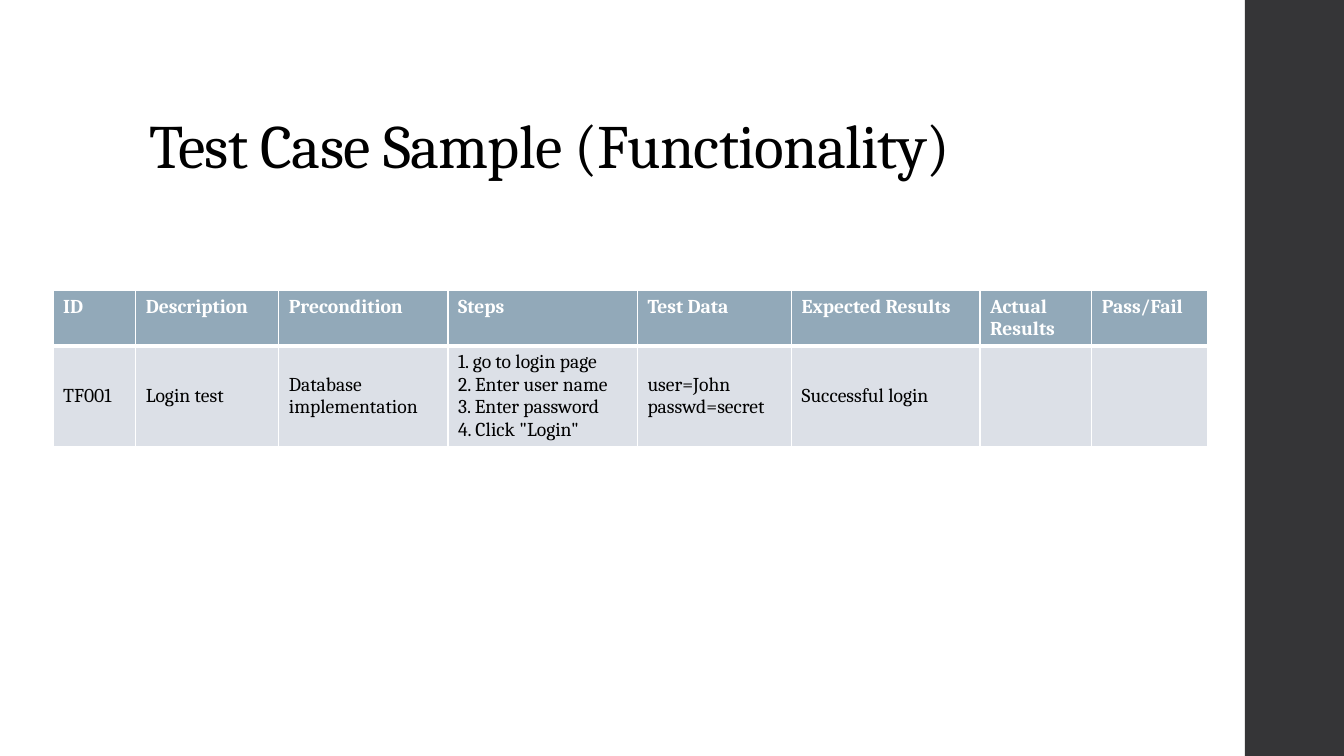
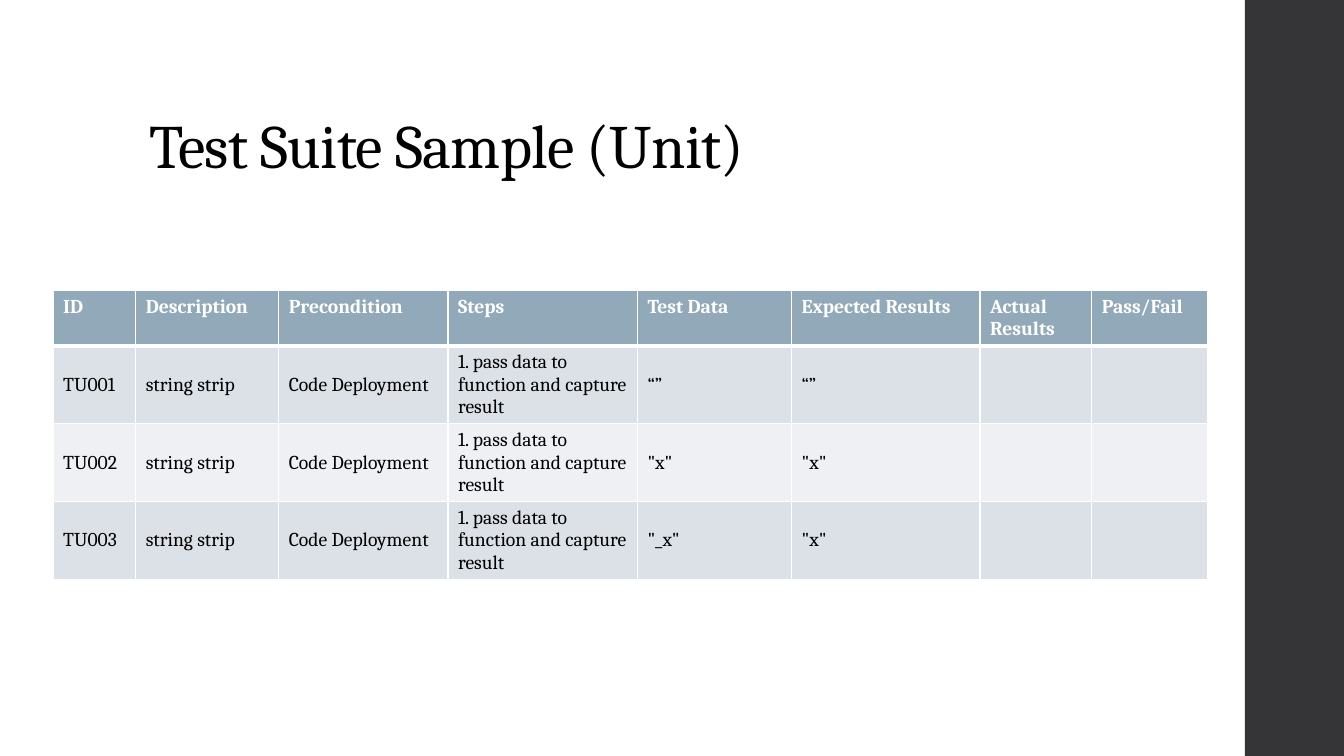
from dataclasses import dataclass

from lxml.etree import SubElement
from pptx import Presentation
from pptx.dml.color import RGBColor
from pptx.enum.shapes import MSO_SHAPE, PP_PLACEHOLDER
from pptx.enum.text import MSO_ANCHOR, PP_ALIGN
from pptx.oxml.ns import qn
from pptx.util import Inches, Pt

SLIDE_WIDTH, SLIDE_HEIGHT = Inches(13.33), Inches(7.5)
FONT = "Cambria"
COLORS = {
    "band": "353537",
    "header": "92A9B9",
    "stripes": ("DCE0E7", "EEF0F4"),
    "text": "000000",
    "light": "FFFFFF",
}


@dataclass(frozen=True)
class Box:
    """A region given in percent of the slide's width and height."""

    left: float
    top: float
    width: float
    height: float = 0

    def lengths(self):
        """Return left, top, width and height as slide lengths."""
        return {
            "left": round(SLIDE_WIDTH * self.left / 100),
            "top": round(SLIDE_HEIGHT * self.top / 100),
            "width": round(SLIDE_WIDTH * self.width / 100),
            "height": round(SLIDE_HEIGHT * self.height / 100),
        }


BAND_BOX = Box(92.62, 0, 7.38, 100)
TITLE_BOX = Box(10.35, 5.33, 79.5, 19.33)
TABLE_BOX = Box(3.95, 38.45, 85.92)

TITLE_FORMAT = {"name": FONT, "size": Pt(44), "bold": False}
HEADER_FORMAT = {"name": FONT, "size": Pt(14), "bold": True}
BODY_FORMAT = {**HEADER_FORMAT, "bold": False}
LINE_HEIGHT, ROW_PADDING = Inches(0.22), Inches(0.11)
FOOTER_TYPES = (PP_PLACEHOLDER.DATE, PP_PLACEHOLDER.FOOTER,
                PP_PLACEHOLDER.SLIDE_NUMBER)

COLUMNS = {
    "ID": 0.82,
    "Description": 1.42,
    "Precondition": 1.68,
    "Steps": 1.88,
    "Test Data": 1.53,
    "Expected Results": 1.87,
    "Actual Results": 1.11,
    "Pass/Fail": 1.15,
}
HEADER_LINES = 2

LOGIN_STEPS = '1. go to login page\n2. Enter user name\n3. Enter password\n4. Click "Login"'
FUNCTIONAL_CASES = [
    ("TF001", "Login test", "Database implementation", LOGIN_STEPS,
     "user=John\npasswd=secret", "Successful login", "", ""),
]
UNIT_CASES = [
    (case_id, "string strip", "Code Deployment",
     "1. pass data to function and capture result", data, expected, "", "")
    for case_id, data, expected in (
        ("TU001", "“”", "“”"),
        ("TU002", '"x"', '"x"'),
        ("TU003", '"_x"', '"x"'),
    )
]
SLIDES = [
    ("Test Case Sample (Functionality)", FUNCTIONAL_CASES, 4),
    ("Test Suite Sample (Unit)", UNIT_CASES, 3),
]


def paint(fill, color):
    """Give a fill a solid colour from a hex string."""
    fill.solid()
    fill.fore_color.rgb = RGBColor.from_string(color)


def set_attributes(target, values):
    """Set each named attribute of an object."""
    for name, value in values.items():
        setattr(target, name, value)


def format_text(text_frame, font_format, color):
    """Apply one font format and colour to every run."""
    for paragraph in text_frame.paragraphs:
        for run in paragraph.runs:
            set_attributes(run.font, font_format)
            paint(run.font.fill, color)


def set_borders(cell_element, widths):
    """Draw the cell's light borders with the widths given by side."""
    properties = cell_element.get_or_add_tcPr()
    for index, (side, width) in enumerate(widths.items()):
        line = SubElement(properties, qn(f"a:ln{side}"), w=str(Pt(width)))
        fill = SubElement(line, qn("a:solidFill"))
        SubElement(fill, qn("a:srgbClr"), val=COLORS["light"])
        properties.insert(index, line)


def prepare_layout(presentation, box):
    """Keep one layout without footers and place its title."""
    layout = presentation.slide_layouts.get_by_name("Title Only")
    for unused in list(presentation.slide_layouts):
        if unused.name != layout.name:
            presentation.slide_layouts.remove(unused)
    for template in (layout, presentation.slide_master):
        for placeholder in list(template.placeholders):
            kind = placeholder.placeholder_format.type
            if kind in FOOTER_TYPES:
                placeholder.element.getparent().remove(placeholder.element)
            elif kind == PP_PLACEHOLDER.TITLE:
                set_attributes(placeholder, box.lengths())
    return layout


def add_band(slide, box):
    """Draw the dark band along the slide's side."""
    band = slide.shapes.add_shape(MSO_SHAPE.RECTANGLE, **box.lengths())
    band.shadow.inherit = False
    paint(band.fill, COLORS["band"])
    band.line.fill.background()


def fill_title(title, text):
    """Write and format the slide's title."""
    frame = title.text_frame
    frame.text = text
    frame.vertical_anchor = MSO_ANCHOR.BOTTOM
    set_attributes(frame.paragraphs[0],
                   {"alignment": PP_ALIGN.LEFT, "line_spacing": 0.9})
    format_text(frame, TITLE_FORMAT, COLORS["text"])
    for properties in title.element.iter(qn("a:rPr")):
        properties.set("spc", "-50")


def format_cell(cell, row_index):
    """Format a cell as part of the header or of a striped row."""
    is_header = row_index == 0
    stripes = COLORS["stripes"]
    cell.vertical_anchor = MSO_ANCHOR.TOP if is_header else MSO_ANCHOR.MIDDLE
    paint(cell.fill, COLORS["header"] if is_header
          else stripes[(row_index - 1) % len(stripes)])
    format_text(cell.text_frame, HEADER_FORMAT if is_header else BODY_FORMAT,
                COLORS["light"] if is_header else COLORS["text"])


def add_case_table(slide, box, cases, lines_per_case):
    """Add a table of test cases under the shared column headings."""
    rows = [tuple(COLUMNS), *cases]
    frame = slide.shapes.add_table(len(rows), len(COLUMNS), **box.lengths())
    table = frame.table
    table.horz_banding = False
    total = sum(COLUMNS.values())
    for column, weight in zip(table.columns, COLUMNS.values()):
        column.width = round(box.lengths()["width"] * weight / total)
    for row_index, (row, texts) in enumerate(zip(table.rows, rows)):
        lines = lines_per_case if row_index else HEADER_LINES
        row.height = lines * LINE_HEIGHT + ROW_PADDING
        for cell, text in zip(row.cells, texts):
            if text:
                cell.text = text
            format_cell(cell, row_index)
    for row_index, row_element in enumerate(frame.element.iter(qn("a:tr"))):
        widths = {"L": 1, "R": 1, "T": 3 if row_index == 1 else 1,
                  "B": 3 if row_index == 0 else 1}
        for cell_element in row_element.iter(qn("a:tc")):
            set_borders(cell_element, widths)


def add_case_slide(presentation, layout, title, cases, lines_per_case):
    """Add one slide with a band, a title and its table of test cases."""
    slide = presentation.slides.add_slide(layout)
    add_band(slide, BAND_BOX)
    fill_title(slide.shapes.title, title)
    add_case_table(slide, TABLE_BOX, cases, lines_per_case)


def main():
    """Build and save the presentation."""
    presentation = Presentation()
    set_attributes(presentation, {"slide_width": SLIDE_WIDTH,
                                  "slide_height": SLIDE_HEIGHT})
    layout = prepare_layout(presentation, TITLE_BOX)
    for content in SLIDES:
        add_case_slide(presentation, layout, *content)
    presentation.save("out.pptx")


if __name__ == "__main__":
    main()
